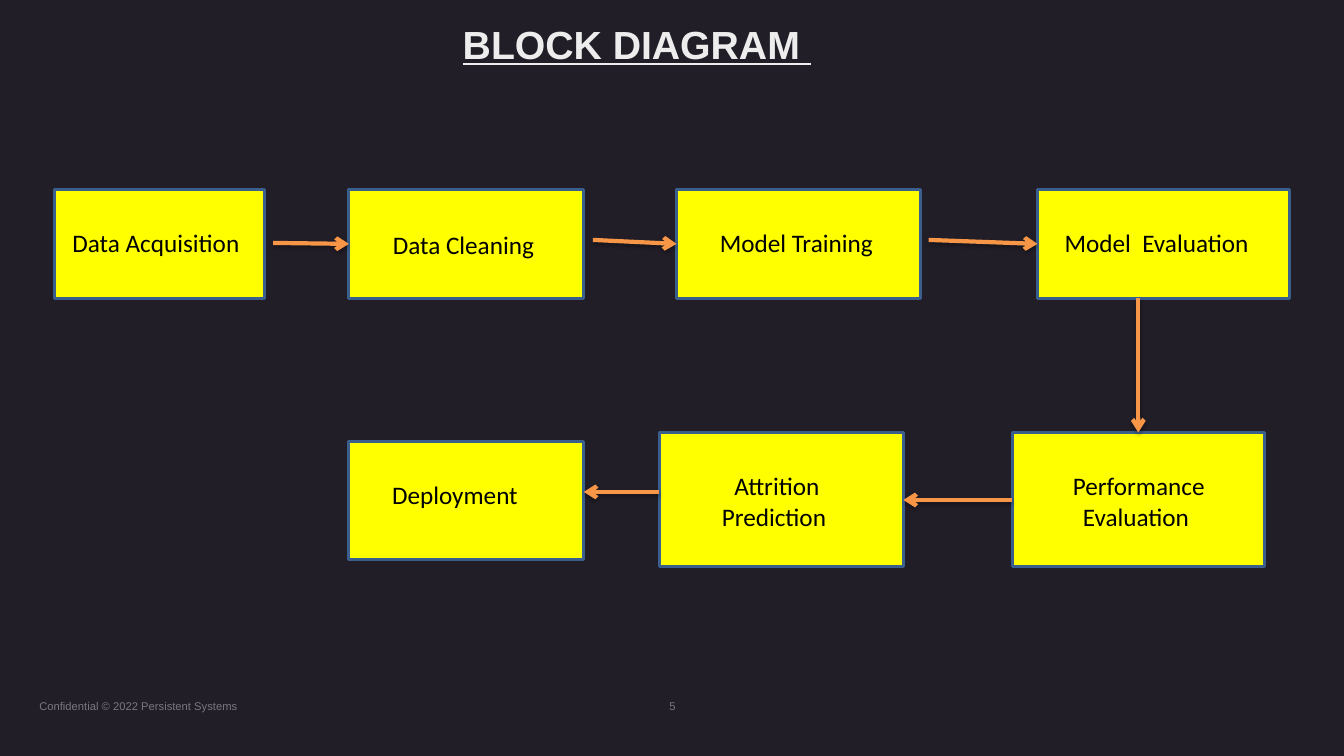
"""Build the block diagram slide of a model pipeline."""
from typing import NamedTuple, Optional

from pptx import Presentation
from pptx import util as u
from pptx.dml import color
from pptx.enum import shapes, text
from pptx.oxml import parse_xml
from pptx.oxml import ns

HUES = {
    "back": "221E28", "title": "EDEDED", "foot": "79787E", "box": "FFFF00",
    "edge": "3A5F8C", "arrow": "F79646", "ink": "000000",
}
LEFT, MID = text.PP_ALIGN.LEFT, text.PP_ALIGN.CENTER
PAD = (0.1, 0.05, 0.1, 0.05)


class Area(NamedTuple):
    left: float
    top: float
    width: float
    height: float


class Step(NamedTuple):
    label: str
    box: Area
    area: Optional[Area] = None
    align: text.PP_ALIGN = LEFT


class Arrow(NamedTuple):
    x1: float
    y1: float
    x2: float
    y2: float


TOP, TALL = 1.88, 1.08
LOW, DEEP = 4.29, 1.33
STEPS = [
    Step("Data Acquisition", Area(0.54, TOP, 2.08, TALL), Area(0.62, 2.21, 2.08, 0.4)),
    Step("Data Cleaning ", Area(3.46, TOP, 2.33, TALL), align=MID),
    Step("Model Training", Area(6.71, TOP, 2.42, TALL), Area(7.04, 2.21, 1.75, 0.4)),
    Step("Model  Evaluation", Area(10.29, TOP, 2.5, TALL), Area(10.46, 2.21, 2.08, 0.4)),
    Step("Performance Evaluation ", Area(10.04, LOW, 2.5, DEEP),
         Area(10.46, 4.62, 1.67, 0.71), MID),
    Step("Attrition Prediction ", Area(6.54, LOW, 2.42, DEEP),
         Area(6.79, 4.62, 1.83, 0.71), MID),
    Step("Deployment", Area(3.46, 4.38, 2.33, 1.17), Area(3.79, 4.71, 1.83, 0.4)),
]
ARROWS = [
    Arrow(2.71, 2.41, 3.46, 2.42),
    Arrow(5.88, 2.38, 6.71, 2.42),
    Arrow(9.21, 2.38, 10.29, 2.42),
    Arrow(11.29, 2.96, 11.29, 4.29),
    Arrow(10.04, 4.96, 8.96, 4.96),
    Arrow(6.54, 4.88, 5.79, 4.88),
]


def hue(name: str) -> color.RGBColor:
    return color.RGBColor.from_string(HUES[name])


def write(shape, words: str, *, size: float = 18, face: str = "Calibri",
          ink: str = "ink", bold: bool = False, under: bool = False,
          align: text.PP_ALIGN = LEFT, pad: tuple = PAD,
          anchor: text.MSO_ANCHOR = text.MSO_ANCHOR.TOP) -> None:
    frame = shape.text_frame
    frame.word_wrap = True
    frame.vertical_anchor = anchor
    (frame.margin_left, frame.margin_top,
     frame.margin_right, frame.margin_bottom) = map(u.Inches, pad)
    para = frame.paragraphs[0]
    para.alignment = align
    run = para.add_run()
    run.text = words
    font = run.font
    font.size, font.name = u.Pt(size), face
    font.bold, font.underline = bold, under
    font.color.rgb = hue(ink)


def add_text(slide, area: Area, words: str, **style) -> None:
    write(slide.shapes.add_textbox(*map(u.Inches, area)), words, **style)


def add_step(slide, step: Step) -> None:
    box = slide.shapes.add_shape(shapes.MSO_SHAPE.RECTANGLE, *map(u.Inches, step.box))
    box.shadow.inherit = False
    box.fill.solid()
    box.fill.fore_color.rgb = hue("box")
    box.line.color.rgb = hue("edge")
    box.line.width = u.Pt(2)
    if step.area:
        add_text(slide, step.area, step.label, align=step.align)
    else:
        write(box, step.label, align=step.align, anchor=text.MSO_ANCHOR.MIDDLE)


def add_arrow(slide, arrow: Arrow) -> None:
    link = slide.shapes.add_connector(
        shapes.MSO_CONNECTOR.STRAIGHT, *map(u.Inches, arrow))
    link.line.color.rgb = hue("arrow")
    link.line.width = u.Pt(3)
    space = ns.nsdecls("a")
    link.line._get_or_add_ln().append(parse_xml(f'<a:tailEnd {space} type="arrow"/>'))
    link._element.spPr.append(parse_xml(
        f'<a:effectLst {space}><a:outerShdw blurRad="{u.Pt(3.1)}" dist="{u.Pt(1.8)}"'
        f' dir="5400000" rotWithShape="0"><a:srgbClr val="{HUES["ink"]}">'
        '<a:alpha val="35000"/></a:srgbClr></a:outerShdw></a:effectLst>'))


def main() -> None:
    deck = Presentation()
    deck.slide_width, deck.slide_height = u.Inches(13.33), u.Inches(7.5)
    slide = deck.slides.add_slide(deck.slide_layouts[6])
    back = slide.background.fill
    back.solid()
    back.fore_color.rgb = hue("back")
    add_text(slide, Area(4.58, 0.17, 8.7, 0.49), "BLOCK DIAGRAM ", size=28,
             face="Arial", ink="title", bold=True, under=True, pad=(0.01, 0.03, 0, 0))
    foot = {"size": 8, "face": "Arial", "ink": "foot"}
    add_text(slide, Area(6.6, 6.94, 0.15, 0.15), "5", pad=(0.04, 0, 0, 0), **foot)
    add_text(slide, Area(0.38, 6.94, 2.1, 0.14),
             "Confidential © 2022 Persistent Systems", pad=(0.01, 0, 0, 0), **foot)
    for step in STEPS:
        add_step(slide, step)
    for arrow in ARROWS:
        add_arrow(slide, arrow)
    deck.save("out.pptx")


if __name__ == "__main__":
    main()
